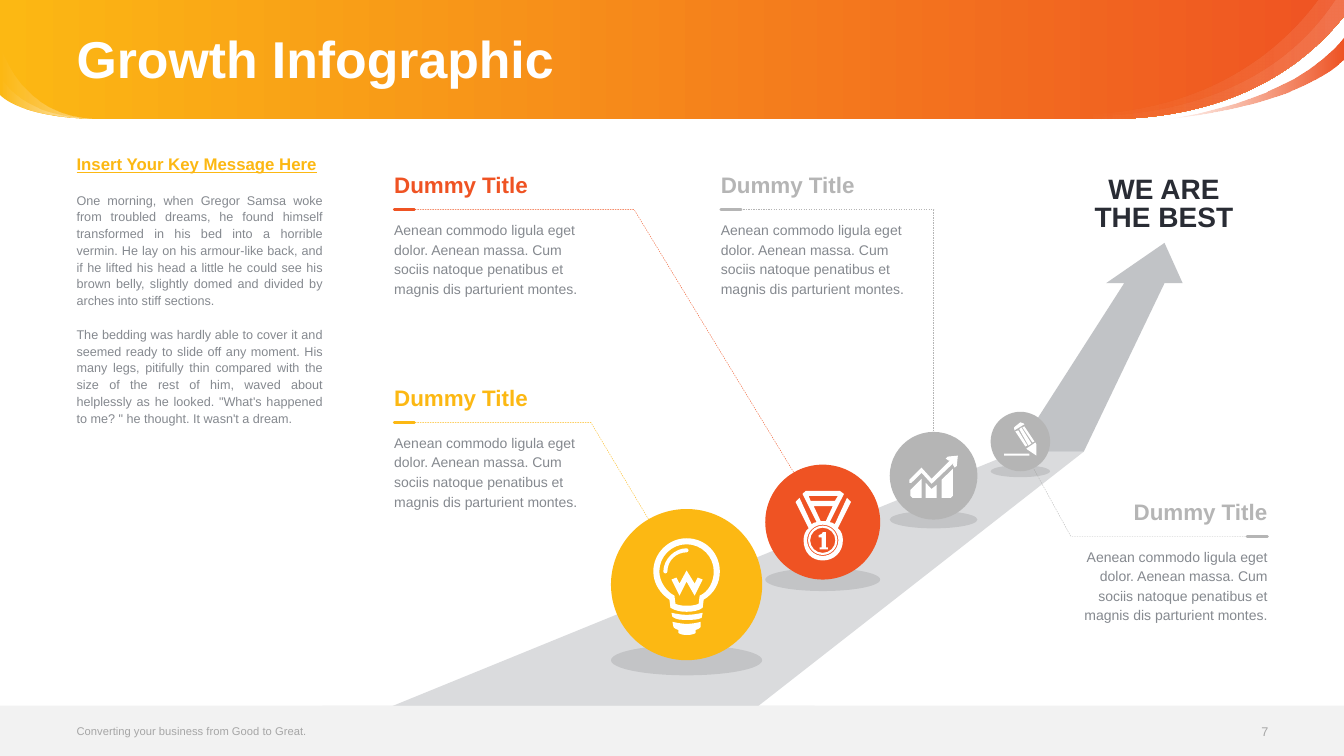
from pptx import Presentation
from pptx.dml.color import RGBColor
from pptx.enum.dml import MSO_LINE
from pptx.enum.shapes import MSO_CONNECTOR, MSO_SHAPE
from pptx.enum.text import MSO_ANCHOR, PP_ALIGN
from pptx.oxml.ns import qn
from pptx.util import Inches, Pt
from lxml.etree import SubElement

W, H = 13.33, 7.5
FOOTER_TOP, MARGIN = 7, 0.76
YELLOW, ORANGE, SILVER, SLATE = "FCB813", "EF5323", "B5B5B5", "85898F"
WHITE, BLACK, INK, PALE, MUTED = "FFFFFF", "000000", "292C34", "F2F2F2", "A6A6A6"
LEFT, RIGHT, CENTER, JUSTIFY = PP_ALIGN.LEFT, PP_ALIGN.RIGHT, PP_ALIGN.CENTER, PP_ALIGN.JUSTIFY

TITLE = "Growth Infographic"
KEY_MESSAGE = "Insert Your Key Message Here"
STORY = [
    "One morning, when Gregor Samsa woke from troubled dreams, he found himself transformed in his bed into a "
    "horrible vermin. He lay on his armour-like back, and if he lifted his head a little he could see his brown "
    "belly, slightly domed and divided by arches into stiff sections.",
    "The bedding was hardly able to cover it and seemed ready to slide off any moment. His many legs, pitifully "
    "thin compared with the size of the rest of him, waved about helplessly as he looked. \"What's happened to "
    "me? \" he thought. It wasn't a dream.",
]
TAGLINE, PAGE = "Converting your business from Good to Great.", "7"
GOAL = ["WE ARE", "THE BEST"]
STEP_TITLE = "Dummy Title"
STEP_BODY = ("Aenean commodo ligula eget dolor. Aenean massa. Cum sociis natoque penatibus "
             "et magnis dis parturient montes.")

HEADER = [(W, 0), (W, 0.16), (12.66, 1, 11.7, 1.17, 11.05, 1.18), (0.97, 1.18),
          (0.18, 1.17, 0, 0.94, 0, 0.94), (0, 0)]
SWOOSHES = [
    ([(W, 0), (W, 0.16), (12.24, 1.53, 10.39, 1.13, 10.34, 1.12), (10.4, 1.12, 12.32, 1.39, 13.24, 0)],
     [(15, WHITE, 0), (100, WHITE, 10)]),
    ([(11.57, 1.18), (11.57, 1.18, 12.82, 1.03, W, 0.37), (W, 0.59), (W, 0.59, 12.94, 1.04, 11.57, 1.18)],
     [(0, ORANGE, 0), (100, ORANGE, 100)]),
    ([(W, 0), (W, 0.16), (12.23, 1.55, 10.34, 1.12, 10.34, 1.12), (11.89, 1.22, 12.7, 0.5, 13.07, 0)],
     [(15, WHITE, 0), (100, WHITE, 10)]),
] + [([(0.98, 1.18), (0.18, 1.17, 0, 0.94, 0, 0.94), (0, top), (0, top, 0.18, 1.17, 0.98, 1.18)],
      [(0, WHITE, 0), (100, WHITE, 50)]) for top in (0.76, 0.45)]
ROAD = [(3.24, 7.27), (7.18, 7.27), (10.75, 4.48), (10.08, 4.48)]
ARROW = [(11.73, 2.81), (11.55, 2.41), (10.97, 2.81), (11.15, 2.81), (10.08, 4.48), (10.75, 4.48), (11.55, 2.81)]


def circle(cx, cy, r):
    """Return a circle as four Bezier curves."""
    k = 0.55 * r
    return [(cx + r, cy), (cx + r, cy + k, cx + k, cy + r, cx, cy + r), (cx - k, cy + r, cx - r, cy + k, cx - r, cy),
            (cx - r, cy - k, cx - k, cy - r, cx, cy - r), (cx + k, cy - r, cx + r, cy - k, cx + r, cy)]


BULB = [
    [(0, -46), (-18, -46, -33, -31, -33, -13), (-33, -1, -26, 9, -17, 15), (-16, 23), (-11, 26, -6, 27, 0, 27),
     (6, 27, 12, 26, 16, 23), (17, 15), (27, 9, 33, -1, 33, -13), (33, -31, 19, -46, 0, -46)],
    [(13, 11), (12, 19), (12, 19, 9, 21, 0, 21), (-8, 21, -11, 19, -11, 19), (-12, 11),
     (-20, 7, -27, -3, -27, -13), (-27, -28, -15, -40, 0, -40), (15, -40, 27, -28, 27, -13), (27, -3, 22, 7, 13, 11)],
    [(8, -1), (0, -14), (-7, -1), (-10, -7), (-15, -5), (-7, 11), (0, -3), (8, 11), (16, -5), (11, -7)],
    [(0, -32), (1, -32, 2, -33, 2, -34), (2, -35, 1, -36, 0, -36), (-12, -36, -23, -25, -23, -13),
     (-23, -12, -22, -11, -21, -11), (-20, -11, -19, -12, -19, -13), (-19, -24, -10, -32, 0, -32)],
    [(-15, 28), (-14, 32), (-10, 35, -5, 35, 0, 35), (6, 35, 11, 35, 15, 33), (16, 28), (11, 29, 6, 30, 0, 30),
     (-5, 30, -10, 29, -15, 28)],
    [(-14, 37), (-13, 42), (-13, 42, -12, 44, -8, 45), (-8, 48), (-8, 48, -6, 50, 0, 50), (7, 50, 9, 48, 9, 48),
     (9, 45), (13, 44, 14, 42, 14, 42), (14, 37), (10, 38, 5, 39, 0, 39), (-4, 39, -9, 38, -14, 37)],
]
MEDAL = [
    [(28, -20), (24, -24), (12, 2), (10, 1, 9, 0, 7, 0), (21, -28), (17, -31), (-17, -31), (-20, -28), (-6, 0),
     (-8, 0, -10, 1, -11, 2), (-23, -24), (-27, -20), (-14, 6), (-18, 9, -19, 14, -19, 18),
     (-19, 30, -11, 38, 0, 38), (11, 38, 20, 30, 20, 18), (20, 14, 19, 9, 15, 6)],
    [(-14, -26), (15, -26), (12, -21), (-12, -21)],
    [(-9, -16), (10, -16), (3, -1), (-2, -1)],
    circle(0, 18, 15.5), circle(0, 18, 14.5), circle(0, 18, 12.5),
    [(3, 10), (0, 10), (0, 10, -1, 13, -4, 13), (-4, 15), (-1, 15), (-1, 25), (-3, 25), (-3, 27), (5, 27),
     (5, 25), (3, 25)],
]
GROWTH = [
    [(14, -19), (12, -17), (15, -15), (17, -16), (-2, 3), (-12, -8), (-24, 4), (-24, 7), (-22, 7), (-12, -3),
     (-2, 8), (20, -13), (19, -11), (21, -8), (23, -10), (24, -20)],
    [(-8, 7), (-8, 22), (3, 22), (3, 9), (-2, 13)],
    [(-23, 14), (-23, 20), (-21, 22), (-12, 22), (-12, 3)],
    [(8, 4), (8, 22), (17, 22), (19, 20), (19, -7)],
]
PENCIL = [
    [(7, 8), (16, 14), (16, 3), (15, 1), (6, 7)],
    [(12, 1), (14, 0), (4, -15), (2, -14)],
    [(11, 2), (1, -14), (-1, -12), (8, 4)],
    [(-5, -10), (5, 5), (7, 4), (-2, -11)],
    [(-6, -11), (4, -17), (3, -18), (2, -19, 1, -19, 0, -19), (-5, -15), (-6, -15, -7, -13, -6, -12)],
    [(-16, 14), (9, 14), (9, 12), (-16, 12)],
]
BALLS = [(6.81, 5.8, 1.5, YELLOW, BULB), (8.16, 5.18, 1.14, ORANGE, MEDAL),
         (9.26, 4.72, 0.87, SILVER, GROWTH), (10.12, 4.38, 0.59, SILVER, PENCIL)]
CALLOUT_W, TICK_W = 1.93, 0.2
CALLOUTS = [(10.64, 5.32, RIGHT, SILVER, [(12.43, 5.32), (10.62, 5.32), (10.11, 4.39)]),
            (3.91, 4.19, LEFT, YELLOW, [(4.09, 4.19), (5.86, 4.19), (6.8, 5.77)]),
            (3.91, 2.08, LEFT, ORANGE, [(4.09, 2.08), (6.29, 2.08), (8.16, 5.16)]),
            (7.15, 2.08, LEFT, SILVER, [(7.3, 2.08), (9.26, 2.08), (9.26, 4.72)])]

deck = Presentation()
deck.slide_width, deck.slide_height = Inches(W), Inches(H)
slide = deck.slides.add_slide(deck.slide_layouts[6])


def rgb(code):
    """Turn a hex string into a colour."""
    return RGBColor.from_string(code)


def paint(shape, stops):
    """Fill a shape with one (position, colour, opacity) stop or a gradient of two."""
    shape.shadow.inherit = False
    shape.line.fill.background()
    if len(stops) == 1:
        shape.fill.solid()
        shape.fill.fore_color.rgb = rgb(stops[0][1])
    else:
        shape.fill.gradient()
        shape.fill.gradient_angle = 0
        for stop, (position, color, _) in zip(shape.fill.gradient_stops, stops):
            stop.color.rgb, stop.position = rgb(color), position / 100
    for node, (_, _, opacity) in zip(shape._element.spPr.iter(qn("a:srgbClr")), stops):
        if opacity < 100:
            SubElement(node, qn("a:alpha")).set("val", str(opacity * 1000))


def trace(outlines, origin=(0, 0), unit=1, close=True):
    """Draw outlines as one freeform; a pair is a corner, six numbers are a Bezier curve."""
    def place(x, y):
        """Scale a point to the slide."""
        return Inches(origin[0] + x * unit), Inches(origin[1] + y * unit)

    builder = None
    for outline in outlines:
        corners = [place(*step[-2:]) for step in outline]
        if builder is None:
            builder = slide.shapes.build_freeform(*corners[0])
        else:
            builder.move_to(*corners[0])
        builder.add_line_segments(corners[1:], close=close)
    shape = builder.convert_to_shape()
    steps = [step for outline in outlines for step in outline[1:]]
    for segment, step in zip(list(shape._element.spPr.iter(qn("a:lnTo"))), steps):
        if len(step) == 6:
            segment.tag = qn("a:cubicBezTo")
            for order in (0, 1):
                x, y = place(*step[2 * order:2 * order + 2])
                handle = SubElement(segment, qn("a:pt"))
                handle.set("x", str(x - shape.left))
                handle.set("y", str(y - shape.top))
                segment.insert(order, handle)
    return shape


def block(kind, x, y, w, h, color, opacity=100):
    """Draw a filled preset shape."""
    paint(slide.shapes.add_shape(kind, Inches(x), Inches(y), Inches(w), Inches(h)), [(0, color, opacity)])


def write(x, y, w, h, lines, size, color, bold=False, align=LEFT, spacing=None, anchor=MSO_ANCHOR.TOP):
    """Place a text box and return its paragraphs."""
    frame = slide.shapes.add_textbox(Inches(x), Inches(y), Inches(w), Inches(h)).text_frame
    frame.word_wrap, frame.vertical_anchor = True, anchor
    frame.margin_left = frame.margin_right = frame.margin_top = frame.margin_bottom = 0
    frame.text = "\n".join(lines)
    for paragraph in frame.paragraphs:
        paragraph.alignment, paragraph.line_spacing = align, spacing
        font = paragraph.runs[0].font
        font.name, font.size, font.bold, font.color.rgb = "Arial", Pt(size), bold, rgb(color)
    return frame.paragraphs


paint(trace([HEADER]), [(0, YELLOW, 100), (100, ORANGE, 100)])
for outline, stops in SWOOSHES:
    paint(trace([outline]), stops)
block(MSO_SHAPE.RECTANGLE, 0, FOOTER_TOP, W, H - FOOTER_TOP, PALE)
write(MARGIN, 0.05, 11.81, 1.13, [TITLE], 37, WHITE, True, spacing=0.9, anchor=MSO_ANCHOR.MIDDLE)

heading, *story = write(MARGIN, 1.56, 2.44, 5.19, [KEY_MESSAGE] + STORY, 9, SLATE, align=JUSTIFY, spacing=Pt(12))
heading_font = heading.runs[0].font
heading_font.size, heading_font.bold, heading_font.underline = Pt(12), True, True
heading_font.color.rgb = rgb(YELLOW)
for paragraph in story:
    paragraph.space_before = Pt(12)

paint(trace([ROAD]), [(0, SLATE, 30)])
paint(trace([ARROW]), [(0, SLATE, 50)])
for _, _, _, color, route in CALLOUTS:
    leader = trace([route], close=False)
    leader.shadow.inherit = False
    leader.fill.background()
    leader.line.color.rgb, leader.line.width, leader.line.dash_style = rgb(color), Pt(0.25), MSO_LINE.DASH

for cx, cy, size, color, icon in BALLS:
    left, bottom = cx - size / 2, cy + size / 2
    block(MSO_SHAPE.OVAL, left, bottom - size / 10, size, size / 5, BLACK, 10)
    block(MSO_SHAPE.OVAL, left, bottom - size, size, size, color)
    paint(trace(icon, (cx, cy), 0.01), [(0, WHITE, 100)])

for x, rule, align, color, _ in CALLOUTS:
    write(x, rule + 0.09, CALLOUT_W, 0.79, [STEP_BODY], 10, SLATE, align=align, spacing=Pt(14))
    start = x + CALLOUT_W - TICK_W if align == RIGHT else x
    tick = slide.shapes.add_connector(MSO_CONNECTOR.STRAIGHT, Inches(start), Inches(rule),
                                      Inches(start + TICK_W), Inches(rule))
    tick.line.color.rgb, tick.line.width = rgb(color), Pt(2)
    tick.line._get_or_add_ln().set("cap", "rnd")
    SubElement(tick._element.spPr, qn("a:effectLst"))
    write(x, rule - 0.38, CALLOUT_W, 0.27, [STEP_TITLE], 16, color, True, align)

write(10.58, 1.76, CALLOUT_W, 0.56, GOAL, 20, INK, True, CENTER, Pt(20))
block(MSO_SHAPE.RECTANGLE, 3.2, FOOTER_TOP, 4.88, H - FOOTER_TOP, PALE)
write(MARGIN, 7.12, 5.23, 0.26, [TAGLINE], 8, MUTED, anchor=MSO_ANCHOR.MIDDLE)
write(11.95, 7.13, 0.63, 0.26, [PAGE], 9, MUTED, align=RIGHT, anchor=MSO_ANCHOR.MIDDLE)
deck.save("out.pptx")
